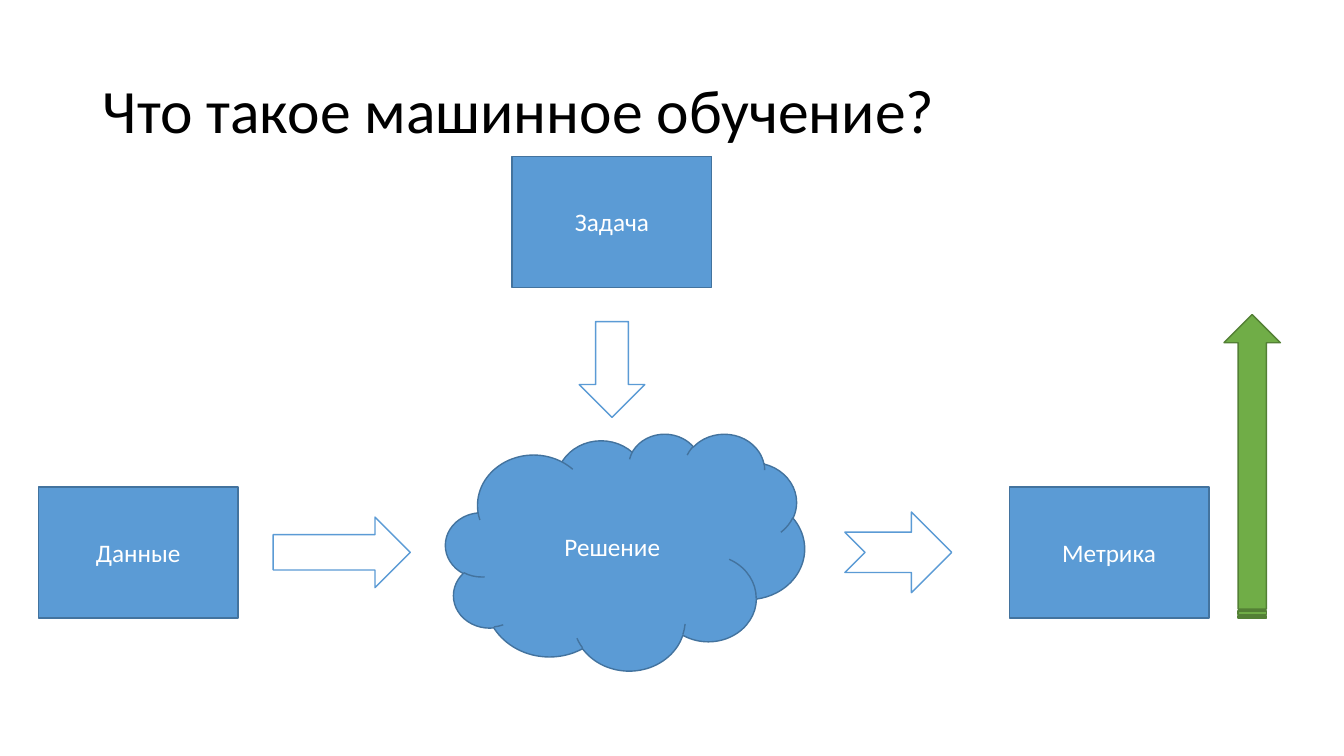
from pptx import Presentation
from pptx.dml.color import RGBColor
from pptx.enum import shapes, text
from pptx.util import Inches, Pt

BLACK = RGBColor(0x00, 0x00, 0x00)
WHITE = RGBColor(0xFF, 0xFF, 0xFF)
BLUE = RGBColor(0x5B, 0x9B, 0xD5)
NAVY = RGBColor(0x43, 0x73, 0x9E)
GREEN = RGBColor(0x70, 0xAD, 0x47)
FOREST = RGBColor(0x53, 0x80, 0x35)
FORM = shapes.MSO_SHAPE


def style(item, **values):
    for name, value in values.items():
        setattr(item, name, value)


def write(shape, words, size, color, align):
    frame = shape.text_frame
    frame.text = words
    style(frame, word_wrap=True, vertical_anchor=text.MSO_ANCHOR.MIDDLE,
          auto_size=text.MSO_AUTO_SIZE.NONE)
    para = frame.paragraphs[0]
    para.alignment = align
    font = para.runs[0].font
    style(font, name="Calibri", size=Pt(size))
    font.color.rgb = color


def draw(slide, form, box, fill, line, words=None, turn=0):
    shape = slide.shapes.add_shape(form, *map(Inches, box))
    shape.shadow.inherit = False
    shape.rotation = turn
    shape.fill.solid()
    shape.fill.fore_color.rgb = fill
    shape.line.color.rgb = line
    shape.line.width = Pt(1)
    if words:
        write(shape, words, 18, WHITE, text.PP_ALIGN.CENTER)


def heading(slide, box, words):
    title = slide.shapes.title
    style(title, **dict(zip(("left", "top", "width", "height"), map(Inches, box))))
    write(title, words, 44, BLACK, text.PP_ALIGN.LEFT)
    title.text_frame.paragraphs[0].line_spacing = 0.9


def scheme(slide, box):
    x, y, w, h = box
    wide, tall = 1.98, 1.3
    row = y + 3.28  # top of the lower blocks

    # Inputs and result
    blocks = [("Данные", x, row),
              ("Метрика", x + w - wide, row),
              ("Задача", x + 4.7, y)]
    for words, left, top in blocks:
        draw(slide, FORM.RECTANGLE, (left, top, wide, tall), BLUE, NAVY, words)

    # Solution cloud
    draw(slide, FORM.CLOUD, (x + 4.04, y + h - 2.35, 3.56, 2.35), BLUE, NAVY, "Решение")

    # Flow arrows
    mid = row + tall / 2
    arrows = [(FORM.RIGHT_ARROW, x + 2.33, mid - 0.35, 1.36, 0.7),
              (FORM.DOWN_ARROW, x + 4.7 + (wide - 0.65) / 2, y + 1.64, 0.65, 0.95),
              (FORM.NOTCHED_RIGHT_ARROW, x + 8, mid - 0.4, 1.06, 0.8)]
    for form, *place in arrows:
        draw(slide, form, place, WHITE, BLUE)


def growth(slide, box):
    # A right arrow turned upright about the centre of the box
    x, y, w, h = box
    place = (x + (w - h) / 2, y + (h - w) / 2, h, w)
    draw(slide, FORM.STRIPED_RIGHT_ARROW, place, GREEN, FOREST, turn=270)


def main():
    deck = Presentation()
    style(deck, slide_width=Inches(13.33), slide_height=Inches(7.5))
    slide = deck.slides.add_slide(deck.slide_layouts[5])
    heading(slide, (0.92, 0.4, 11.5, 1.45), "Что такое машинное обучение?")
    scheme(slide, (0.38, 1.55, 11.61, 5.1))
    growth(slide, (12.14, 3.12, 0.56, 3.01))
    deck.save("out.pptx")


if __name__ == "__main__":
    main()
